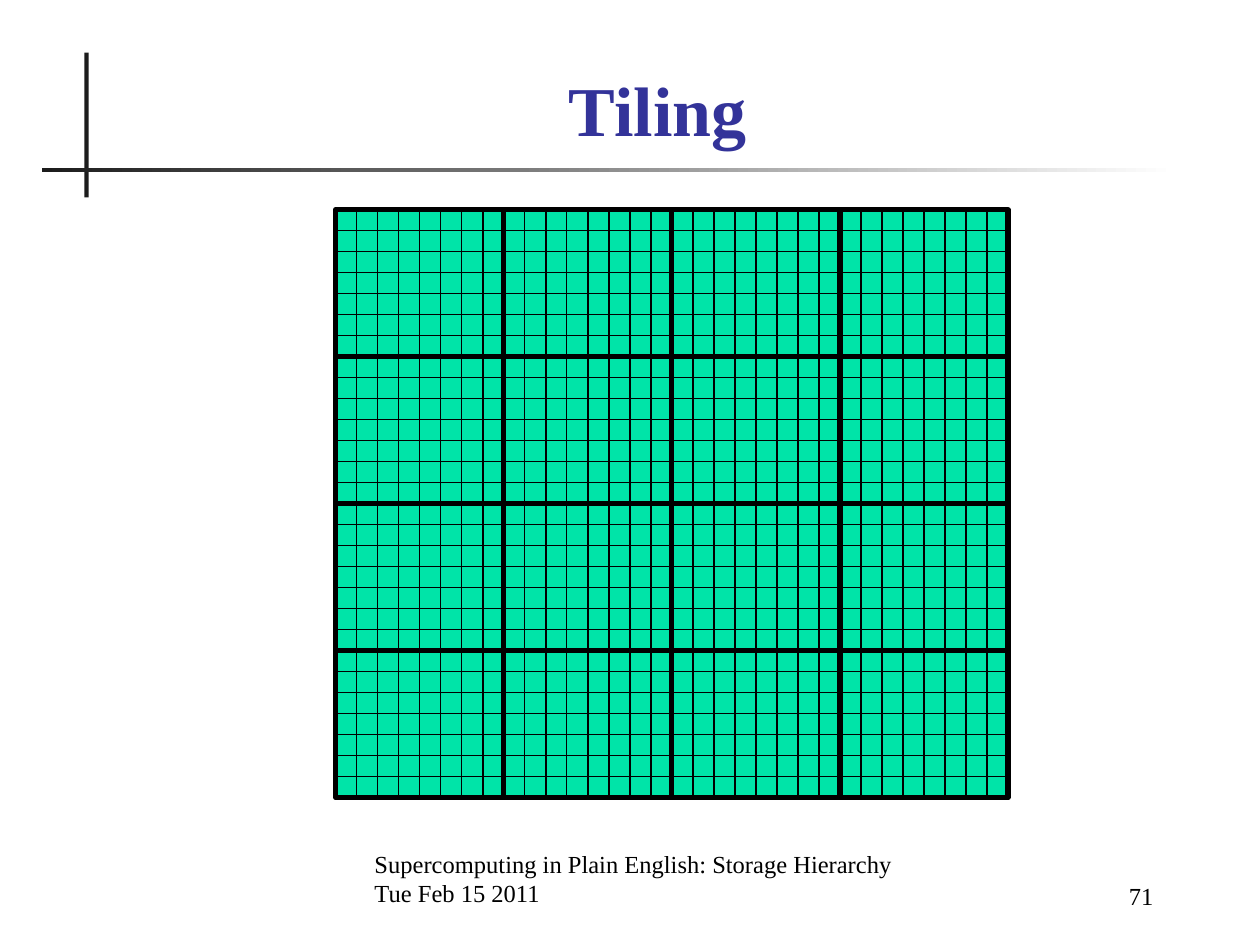
from pptx import Presentation
from pptx.dml.color import RGBColor
from pptx.enum.shapes import MSO_CONNECTOR as CONNECTOR, MSO_SHAPE as SHAPE
from pptx.enum.text import MSO_ANCHOR as ANCHOR, PP_ALIGN as ALIGN
from pptx.oxml.ns import qn
from pptx.util import Cm, Pt
from lxml.etree import SubElement

BLACK = RGBColor(0x00, 0x00, 0x00)
WHITE = RGBColor(0xFF, 0xFF, 0xFF)
CHARCOAL = RGBColor(0x1C, 0x1C, 0x1C)
INDIGO = RGBColor(0x33, 0x33, 0x99)
GREEN = RGBColor(0x00, 0xE4, 0xA8)
FONT = "Times New Roman"
TILES_ACROSS, TILES_DOWN = 4, 4
CELLS_PER_TILE_ROW, CELLS_PER_TILE_COLUMN = 8, 7


def add_rect(shapes, left, top, width, height, fill=None, line_width=None):
    rect = shapes.add_shape(SHAPE.RECTANGLE, left, top, width, height)
    rect.shadow.inherit = False
    if fill is None:
        rect.fill.background()
    else:
        rect.fill.solid()
        rect.fill.fore_color.rgb = fill
    if line_width is None:
        rect.line.fill.background()
    else:
        rect.line.color.rgb = BLACK
        rect.line.width = Pt(line_width)
    return rect


def add_grid_line(shapes, x1, y1, x2, y2):
    grid_line = shapes.add_connector(CONNECTOR.STRAIGHT, x1, y1, x2, y2)
    grid_line.line.color.rgb = BLACK
    grid_line.line.width = Pt(0.75)
    SubElement(grid_line._element.spPr, qn("a:effectLst"))


def add_text(slide, left, top, width, height, lines, size, color=BLACK,
             align=ALIGN.LEFT, bold=False):
    frame = slide.shapes.add_textbox(left, top, width, height).text_frame
    frame.word_wrap = True
    frame.vertical_anchor = ANCHOR.BOTTOM
    for index, line in enumerate(lines):
        paragraph = frame.add_paragraph() if index else frame.paragraphs[0]
        paragraph.alignment = align
        run = paragraph.add_run()
        run.text = line
        run.font.name = FONT
        run.font.size = Pt(size)
        run.font.bold = bold
        run.font.color.rgb = color


def add_header(slide, left, top, width, height):
    add_rect(slide.shapes, left + Cm(0.85), top, Cm(0.09), height, CHARCOAL)
    rule = add_rect(slide.shapes, left, top + Cm(2.32), width, Cm(0.09), CHARCOAL)
    rule.fill.gradient()
    rule.fill.gradient_angle = 0
    for stop, color, position in zip(rule.fill.gradient_stops, (CHARCOAL, WHITE), (0, 1)):
        stop.color.rgb = color
        stop.position = position
    add_text(slide, left + Cm(1.27), top + Cm(0.21), Cm(22.28), Cm(1.88),
             ["Tiling"], 40, INDIGO, ALIGN.CENTER, True)


def add_tiled_array(slide, left, top, width, height):
    shapes = slide.shapes.add_group_shape().shapes
    columns = TILES_ACROSS * CELLS_PER_TILE_ROW
    rows = TILES_DOWN * CELLS_PER_TILE_COLUMN
    add_rect(shapes, left, top, width, height, GREEN, 0.75)
    for column in range(1, columns):
        x = left + width * column // columns
        add_grid_line(shapes, x, top, x, top + height)
    for row in range(1, rows):
        y = top + height * row // rows
        add_grid_line(shapes, left, y, left + width, y)
    tile_width, tile_height = width // TILES_ACROSS, height // TILES_DOWN
    for row in range(TILES_DOWN):
        for column in range(TILES_ACROSS):
            add_rect(shapes, left + column * tile_width, top + row * tile_height,
                     tile_width, tile_height, line_width=3)


def add_footer(slide, left, top, width, height):
    add_text(slide, left, top, Cm(11.1), height,
             ["Supercomputing in Plain English: Storage Hierarchy", "Tue Feb 15 2011"], 14)
    number_width = Cm(3.6)
    add_text(slide, left + width - number_width, top + Cm(0.05), number_width, height,
             ["71"], 14, align=ALIGN.RIGHT)


def main():
    deck = Presentation()
    deck.slide_width, deck.slide_height = Cm(25.4), Cm(19.05)
    slide = deck.slides.add_slide(deck.slide_layouts[6])
    add_header(slide, Cm(0.85), Cm(1.06), Cm(22.86), Cm(2.92))
    add_footer(slide, Cm(7.3), Cm(17.15), Cm(16.2), Cm(1.27))
    add_tiled_array(slide, Cm(6.77), Cm(4.23), Cm(13.55), Cm(11.85))
    deck.save("out.pptx")


if __name__ == "__main__":
    main()
